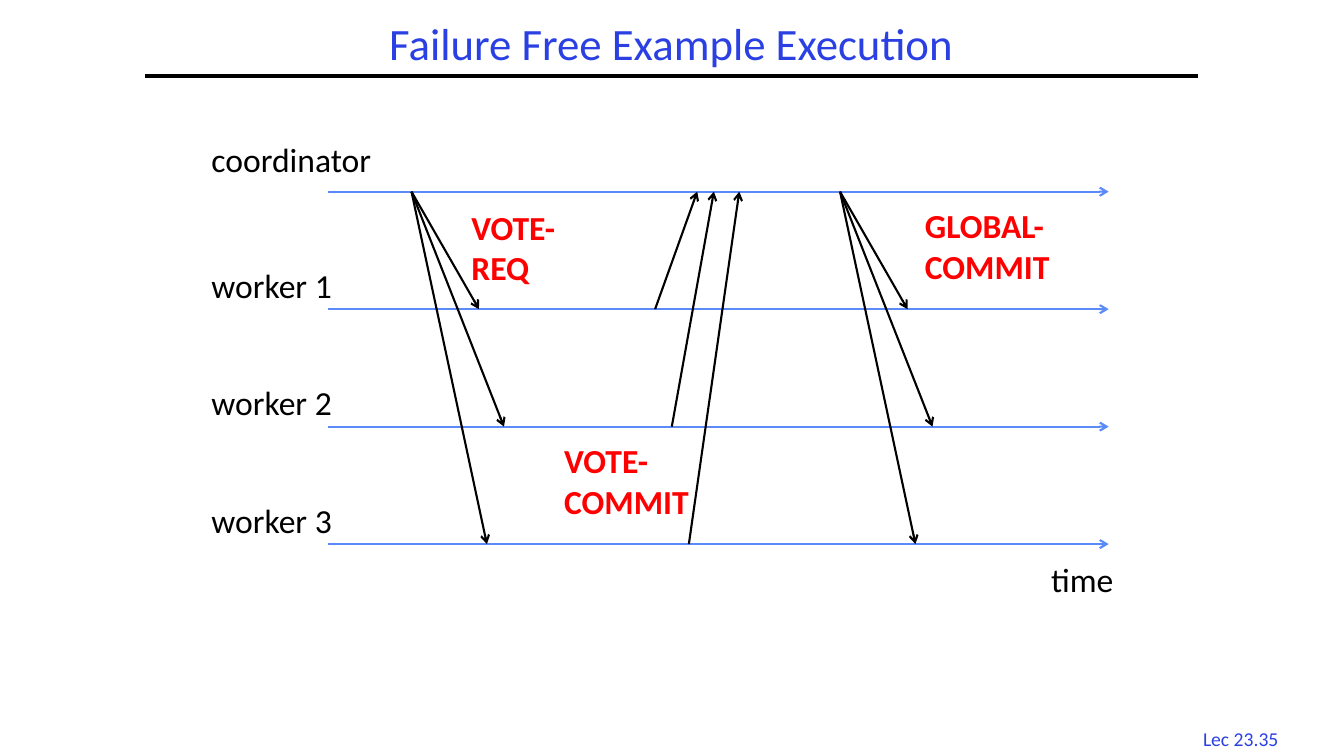
from dataclasses import dataclass

from lxml import etree
from pptx import Presentation
from pptx.dml.color import RGBColor
from pptx.enum import shapes, text
from pptx.oxml import ns
from pptx.util import Cm, Pt


@dataclass(frozen=True)
class Theme:
    font: str = "Calibri"
    heading: str = "2A40E2"
    ink: str = "000000"
    lane: str = "5B8AFB"
    phase: str = "FF0000"
    title_size: int = 32
    label_size: int = 24
    footer_size: int = 14
    rule_width: float = 3
    arrow_width: float = 1.5


THEME = Theme()


def write(box, words, size, color, bold=False, align=text.PP_ALIGN.LEFT, wrap=True):
    frame = box.text_frame
    frame.text = words
    frame.word_wrap = wrap
    paragraph = frame.paragraphs[0]
    paragraph.alignment = align
    look = {"name": THEME.font, "size": Pt(size), "bold": bold}
    for key, value in look.items():
        setattr(paragraph.font, key, value)
    paragraph.font.color.rgb = RGBColor.from_string(color)
    return frame


def add_label(slide, words, box, size=THEME.label_size, color=THEME.ink, **options):
    label = slide.shapes.add_textbox(*map(Cm, box))
    return write(label, words, size, color, **options)


def add_line(slide, start, end, color, width=THEME.arrow_width, arrow=True):
    line = slide.shapes.add_connector(
        shapes.MSO_CONNECTOR.STRAIGHT, *map(Cm, (*start, *end)))
    line.line.color.rgb = RGBColor.from_string(color)
    line.line.width = Pt(width)
    if arrow:
        etree.SubElement(line.line._get_or_add_ln(), ns.qn("a:tailEnd"), type="arrow")
    etree.SubElement(line._element.spPr, ns.qn("a:effectLst"))


def add_heading(slide, left, top, width, height):
    title = slide.shapes.title
    place = dict(zip(("left", "top", "width", "height"),
                     map(Cm, (left, top, width, height))))
    for key, value in place.items():
        setattr(title, key, value)
    frame = write(title, "Failure Free Example Execution", THEME.title_size,
                  THEME.heading, align=text.PP_ALIGN.CENTER)
    frame.vertical_anchor = text.MSO_ANCHOR.MIDDLE
    frame.auto_size = text.MSO_AUTO_SIZE.NONE
    frame.paragraphs[0].line_spacing = 0.9
    bottom = top + height
    add_line(slide, (left, bottom), (left + width, bottom), THEME.ink,
             THEME.rule_width, arrow=False)


def add_timeline(slide, left, top, width, lane_gap):
    lane_ys = [top + lane_gap * lane for lane in range(4)]

    # Participants and their time axes
    participants = [("coordinator", 5.08, 1.45), ("worker 1", 4.01, 1.25),
                    ("worker 2", 4.01, 1.25), ("worker 3", 4.01, 1.25)]
    for (name, name_width, rise), y in zip(participants, lane_ys):
        add_line(slide, (left + 3.18, y), (left + width, y), THEME.lane)
        add_label(slide, name, (left, y - rise, name_width, 1.3))
    add_label(slide, "time", (left + width - 1.7, lane_ys[-1] + 0.25, 2.34, 1.3))

    # Coordinator broadcasts to the workers
    for origin in (5.29, 16.09):
        for delay, y in zip((1.7, 2.33, 1.9), lane_ys[1:]):
            add_line(slide, (left + origin, top), (left + origin + delay, y), THEME.ink)

    # Worker votes back to the coordinator
    votes = [(11.43, 12.49), (11.85, 12.91), (12.28, 13.55)]
    for (sent, received), y in zip(votes, lane_ys[1:]):
        add_line(slide, (left + sent, y), (left + received, top), THEME.ink)

    # Message names
    messages = [("VOTE-REQ", 6.55, 0.25, 3.38), ("VOTE-COMMIT", 8.89, 6.14, 4.01),
                ("GLOBAL-COMMIT", 17.98, 0.22, 4.24)]
    for name, x, y, name_width in messages:
        add_label(slide, name, (left + x, top + y, name_width, 2.31),
                  color=THEME.phase, bold=True)


def add_footer(slide, left, top, width, height):
    add_label(slide, "Lec 23.35", (left, top, width, height), THEME.footer_size,
              THEME.heading, align=text.PP_ALIGN.CENTER, wrap=False)


def main():
    deck = Presentation()
    deck.slide_width, deck.slide_height = Cm(33.87), Cm(19.05)
    slide = deck.slides.add_slide(deck.slide_layouts.get_by_name("Title Only"))
    add_heading(slide, 3.66, 0.43, 26.52, 1.48)
    add_timeline(slide, 5.08, 4.83, 22.86, 2.96)
    add_footer(slide, 29.9, 18.19, 2.74, 0.84)
    deck.save("out.pptx")


if __name__ == "__main__":
    main()
